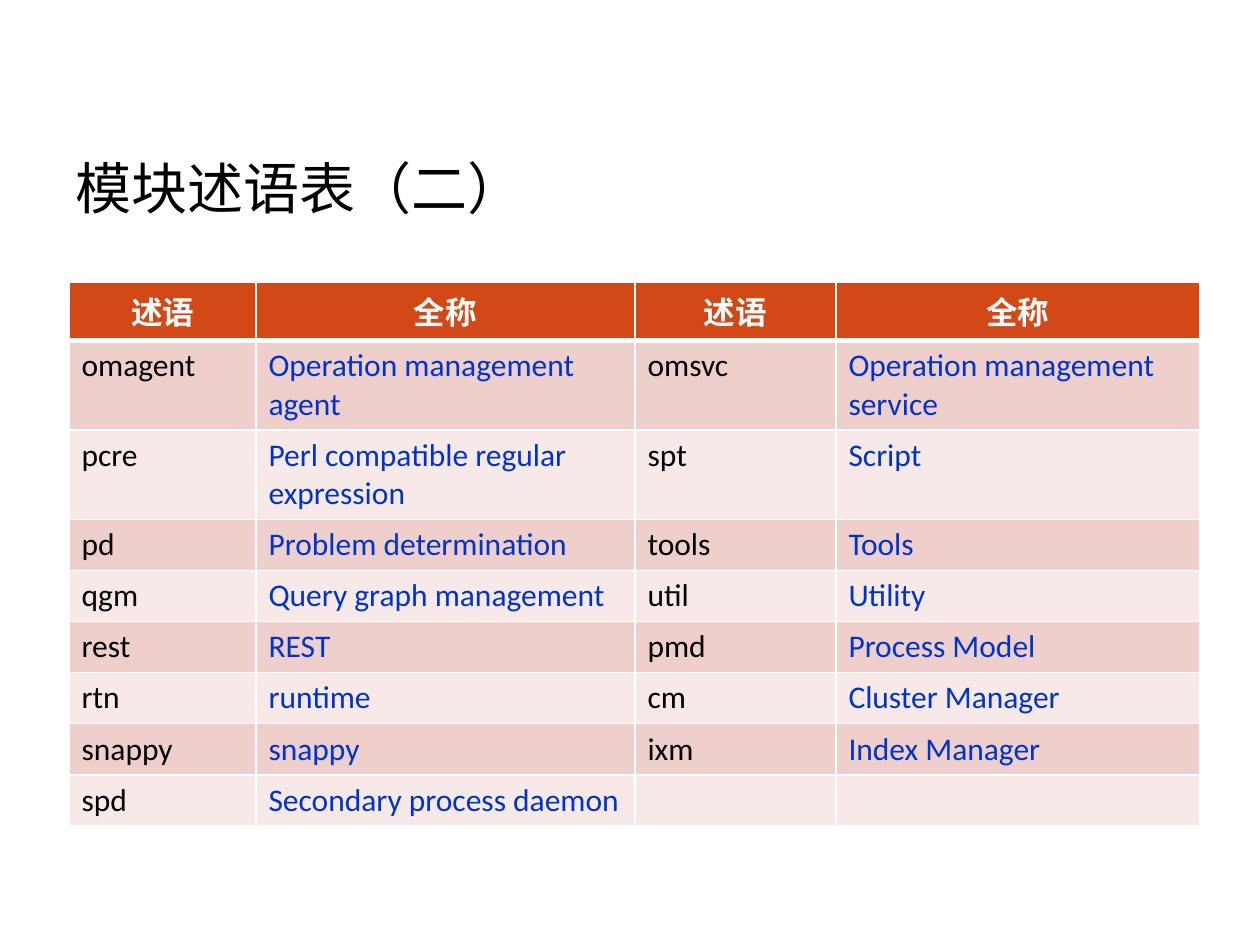
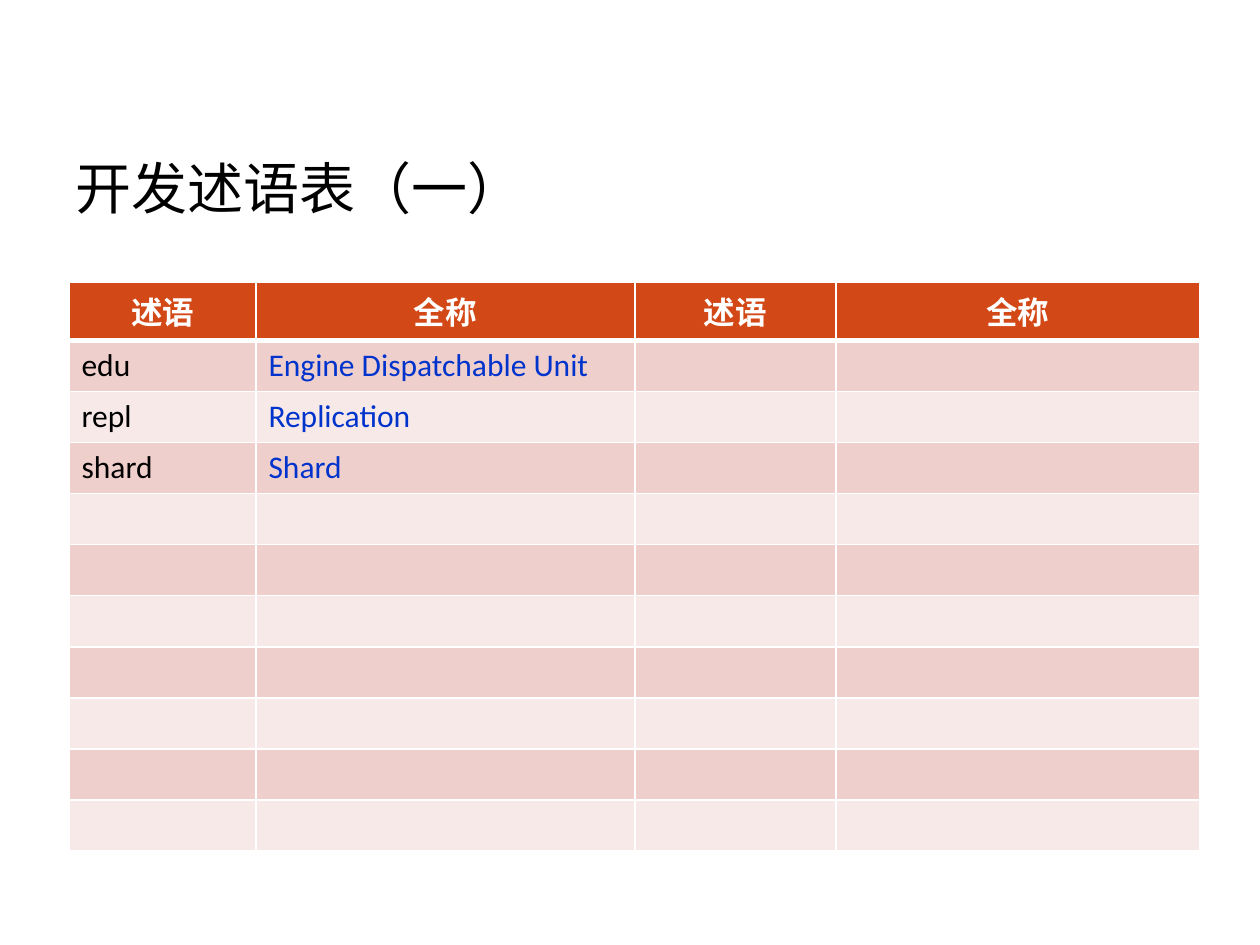
"""Build two glossary slides, each a title above a four-column table of terms."""
from lxml import etree
from pptx import Presentation
from pptx import util as u
from pptx.dml.color import RGBColor
from pptx.enum import text
from pptx.oxml.ns import qn

PX = 914400 / 126
HEADER_FILL, BAND_FILLS = "D34817", ("F7E9E8", "EFCFCC")
WHITE, BLACK, BLUE = "FFFFFF", "000000", "0033CC"
HEADINGS = ("述语", "全称", "述语", "全称")
COLUMN_WIDTHS = (187, 379, 201, 364)
ROW_HEIGHT = 51
TITLE_BOX = {"left": 63, "top": 108, "width": 1134, "height": 158}
TABLE_LEFT, TABLE_TOP = 69, 282

glossaries = [
    ("模块述语表（二）", 8, [
        ("omagent", "Operation management agent", "omsvc", "Operation management service"),
        ("pcre", "Perl compatible regular expression", "spt", "Script"),
        ("pd", "Problem determination", "tools", "Tools"),
        ("qgm", "Query graph management", "util", "Utility"),
        ("rest", "REST", "pmd", "Process Model"),
        ("rtn", "runtime", "cm", "Cluster Manager"),
        ("snappy", "snappy", "ixm", "Index Manager"),
        ("spd", "Secondary process daemon"),
    ]),
    ("开发述语表（一）", 10, [
        ("edu", "Engine Dispatchable Unit"),
        ("repl", "Replication"),
        ("shard", "Shard"),
    ]),
]


def px(length):
    return u.Emu(round(length * PX))


def set_font(font, color, **formats):
    for attribute, setting in formats.items():
        setattr(font, attribute, setting)
    font.color.rgb = RGBColor.from_string(color)


deck = Presentation()
deck.slide_width, deck.slide_height = px(1260), px(945)

for heading, term_rows, terms in glossaries:
    slide = deck.slides.add_slide(deck.slide_layouts[5])
    title = slide.shapes.title
    for side, length in TITLE_BOX.items():
        setattr(title, side, px(length))
    title.text_frame.text = heading
    title.text_frame.vertical_anchor = text.MSO_ANCHOR.MIDDLE
    title_line = title.text_frame.paragraphs[0]
    title_line.alignment = text.PP_ALIGN.LEFT
    set_font(title_line.runs[0].font, BLACK, name="Roboto", size=u.Pt(32))

    row_count = term_rows + 1
    glossary = slide.shapes.add_table(
        row_count, len(HEADINGS), px(TABLE_LEFT), px(TABLE_TOP),
        px(sum(COLUMN_WIDTHS)), px(ROW_HEIGHT * row_count)).table
    for column, width in zip(glossary.columns, COLUMN_WIDTHS):
        column.width = px(width)

    entries = [HEADINGS] + terms + [()] * (term_rows - len(terms))
    for r, entry in enumerate(entries):
        glossary.rows[r].height = px(ROW_HEIGHT)
        is_header = r == 0
        for c in range(len(HEADINGS)):
            cell = glossary.cell(r, c)
            borders = {"lnL": 1, "lnR": 1, "lnT": 3 if r == 1 else 1, "lnB": 3 if is_header else 1}
            for edge, weight in borders.items():
                line = etree.SubElement(cell._tc.get_or_add_tcPr(), qn(f"a:{edge}"), w=str(u.Pt(weight)))
                paint = etree.SubElement(line, qn("a:solidFill"))
                etree.SubElement(paint, qn("a:srgbClr"), val=WHITE)
            cell.fill.solid()
            cell.fill.fore_color.rgb = RGBColor.from_string(HEADER_FILL if is_header else BAND_FILLS[r % 2])
            if c < len(entry):
                cell.text = entry[c]
                paragraph = cell.text_frame.paragraphs[0]
                paragraph.alignment = text.PP_ALIGN.CENTER if is_header else text.PP_ALIGN.LEFT
                color = WHITE if is_header else (BLACK, BLUE)[c % 2]
                set_font(paragraph.runs[0].font, color, name="Calibri", size=u.Pt(18), bold=is_header)

deck.save("out.pptx")
